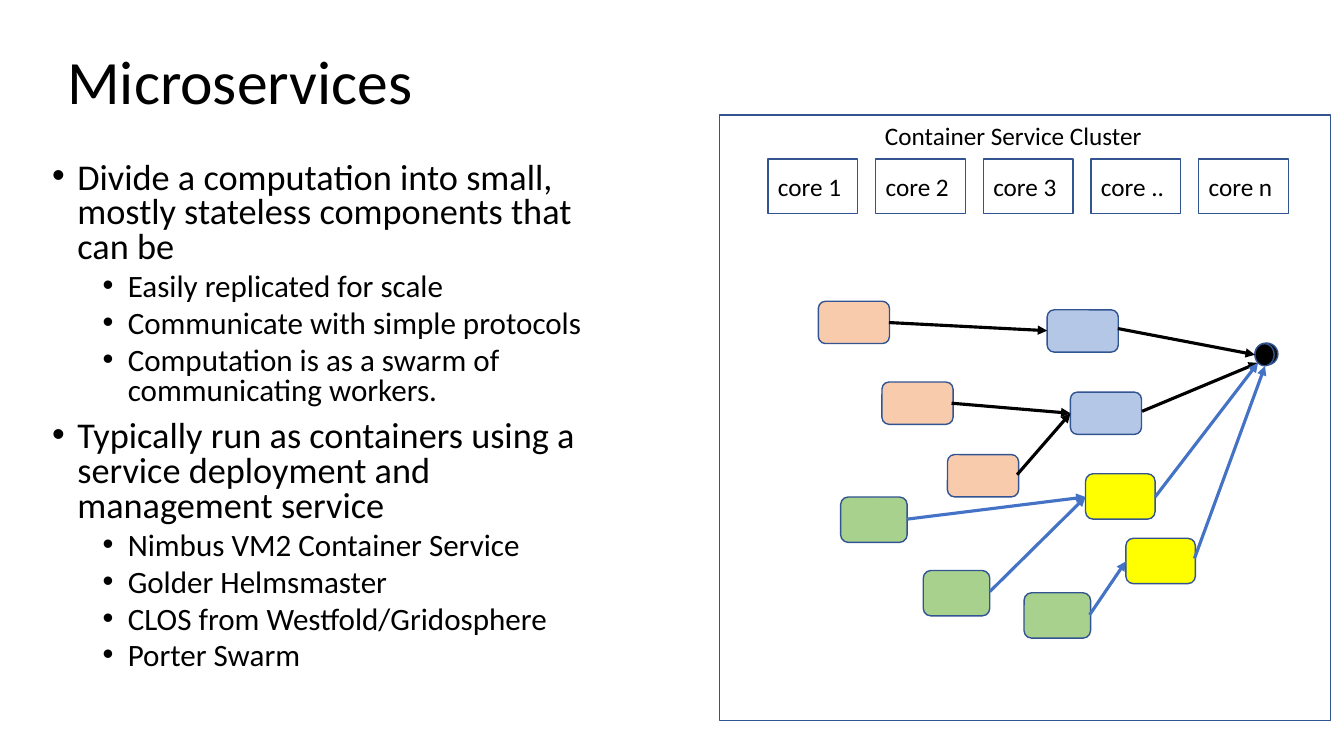
from lxml import etree
from pptx import Presentation
from pptx.dml.color import RGBColor
from pptx.enum import shapes, text
from pptx.oxml.ns import qn
from pptx.util import Pt

prs = Presentation()
prs.slide_width, prs.slide_height = Pt(960), Pt(540)
s = prs.slides.add_slide(prs.slide_layouts[6])
S = shapes.MSO_SHAPE


def rgb(color):
    return RGBColor.from_string(color)


def add_box(kind, x, y, w, h, fill=None):
    sp = s.shapes.add_shape(kind, Pt(x), Pt(y), Pt(w), Pt(h))
    sp.shadow.inherit = False
    if fill:
        sp.fill.solid()
        sp.fill.fore_color.rgb = rgb(fill)
    else:
        sp.fill.background()
    sp.line.color.rgb = rgb("325491")
    sp.line.width = Pt(1)
    return sp


bullets = [
    (0, "Divide a computation into small, mostly stateless components that can be"),
    (1, "Easily replicated for scale"),
    (1, "Communicate with simple protocols"),
    (1, "Computation is as a swarm of communicating workers."),
    (0, "Typically run as containers using a service deployment and management service"),
    (1, "Nimbus VM2 Container Service"),
    (1, "Golder Helmsmaster"),
    (1, "CLOS from Westfold/Gridosphere"),
    (1, "Porter Swarm"),
]
title = s.shapes.add_textbox(Pt(41), Pt(7.9), Pt(828), Pt(104.4))
tf = title.text_frame
tf.word_wrap = True
tf.vertical_anchor = text.MSO_ANCHOR.MIDDLE
tf.text = "Microservices"
tf.paragraphs[0].line_spacing = 0.9
font = tf.paragraphs[0].runs[0].font
font.size, font.name, font.color.rgb = Pt(44), "Calibri", rgb("000000")

body = s.shapes.add_textbox(Pt(30.2), Pt(112.3), Pt(396.7), Pt(395.3))
tf = body.text_frame
tf.word_wrap = True
for i, (level, line) in enumerate(bullets):
    p = tf.add_paragraph() if i else tf.paragraphs[0]
    p.text = line
    p.level = level
    p.line_spacing = 0.8
    p.space_before = Pt(5 if level else 10)
    font = p.runs[0].font
    font.size, font.name, font.color.rgb = Pt(22.2 if level else 25.9), "Calibri", rgb("000000")
    pPr = p._p.get_or_add_pPr()
    pPr.set("marL", str(Pt(54 if level else 18)))
    pPr.set("indent", str(Pt(-18)))
    etree.SubElement(pPr, qn("a:buFont")).set("typeface", "Arial")
    etree.SubElement(pPr, qn("a:buChar")).set("char", "•")

for i, name in enumerate(["core 1", "core 2", "core 3", "core ..", "core n"]):
    core = add_box(S.RECTANGLE, 548.6 + 76.9 * i, 113.5, 64.1, 38.9, "FFFFFF")
    tf = core.text_frame
    tf.word_wrap = False
    tf.text = name
    tf.paragraphs[0].alignment = text.PP_ALIGN.LEFT
    font = tf.paragraphs[0].runs[0].font
    font.size, font.name, font.color.rgb = Pt(18), "Calibri", rgb("000000")

add_box(S.RECTANGLE, 514.1, 82.1, 436.3, 432.7)
label = s.shapes.add_textbox(Pt(625), Pt(82.1), Pt(200.2), Pt(29.1))
tf = label.text_frame
tf.word_wrap = False
tf.text = "Container Service Cluster"
font = tf.paragraphs[0].runs[0].font
font.size, font.name, font.color.rgb = Pt(18), "Calibri", rgb("000000")

workers = [
    ("F8CBAD", 50.8, 30.2, [(584.6, 215.2), (630, 272.9), (676.8, 324.7)]),
    ("B4C7E7", 50.8, 30.2, [(748, 221.3), (764.6, 280.1)]),
    ("FFFF00", 49.7, 32.4, [(775.4, 338.4), (804.2, 384.5)]),
    ("A9D18E", 47.5, 32.4, [(600.5, 355), (659.5, 407.5), (731.5, 423.4)]),
]
for fill, w, h, places in workers:
    for x, y in places:
        add_box(S.ROUNDED_RECTANGLE, x, y, w, h, fill)

add_box(S.OVAL, 896.4, 245, 16.4, 15.8, "0D0D0D")
add_box(S.OVAL, 896.4, 245.5, 13.7, 15.8, "000000")

arrows = [
    ("000000", [
        (635, 230.4, 748, 236.2), (679.7, 288, 764.6, 295.2),
        (726.5, 339.1, 764.6, 295.2), (798.5, 234.7, 896.4, 253.4),
        (815.8, 293.8, 898.6, 259.2),
    ]),
    ("4472C4", [
        (825.1, 355, 898.6, 259.2), (853.2, 398.9, 903.6, 261.4),
        (648, 370.8, 775.4, 355), (707, 422.6, 775.4, 355),
        (778.3, 439.2, 804.2, 401),
    ]),
]
for color, routes in arrows:
    for route in routes:
        cn = s.shapes.add_connector(shapes.MSO_CONNECTOR.STRAIGHT, *map(Pt, route))
        cn.line.color.rgb = rgb(color)
        cn.line.width = Pt(2.25)
        etree.SubElement(cn.line._get_or_add_ln(), qn("a:tailEnd")).set("type", "triangle")
        etree.SubElement(cn._element.spPr, qn("a:effectLst"))

prs.save("out.pptx")
